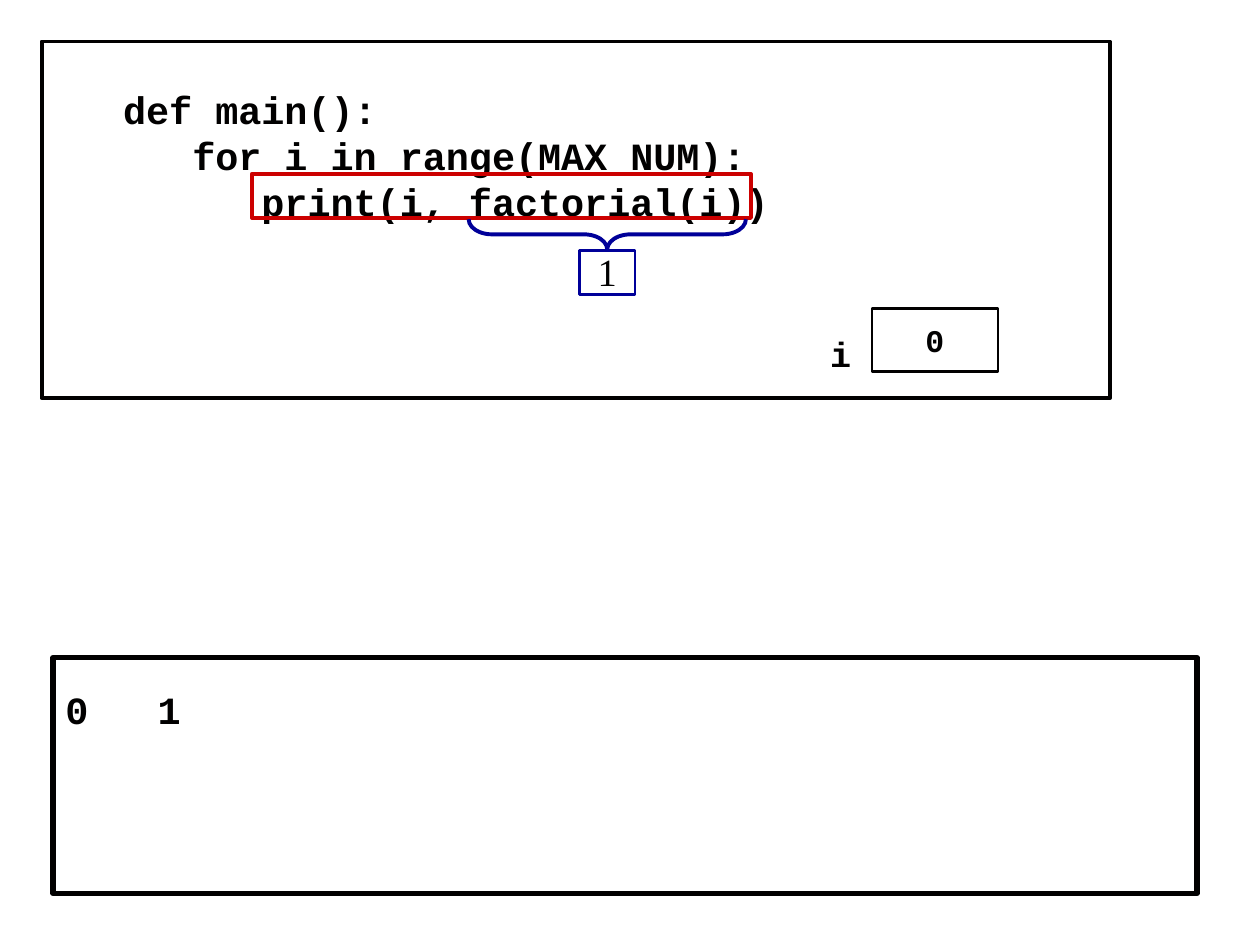
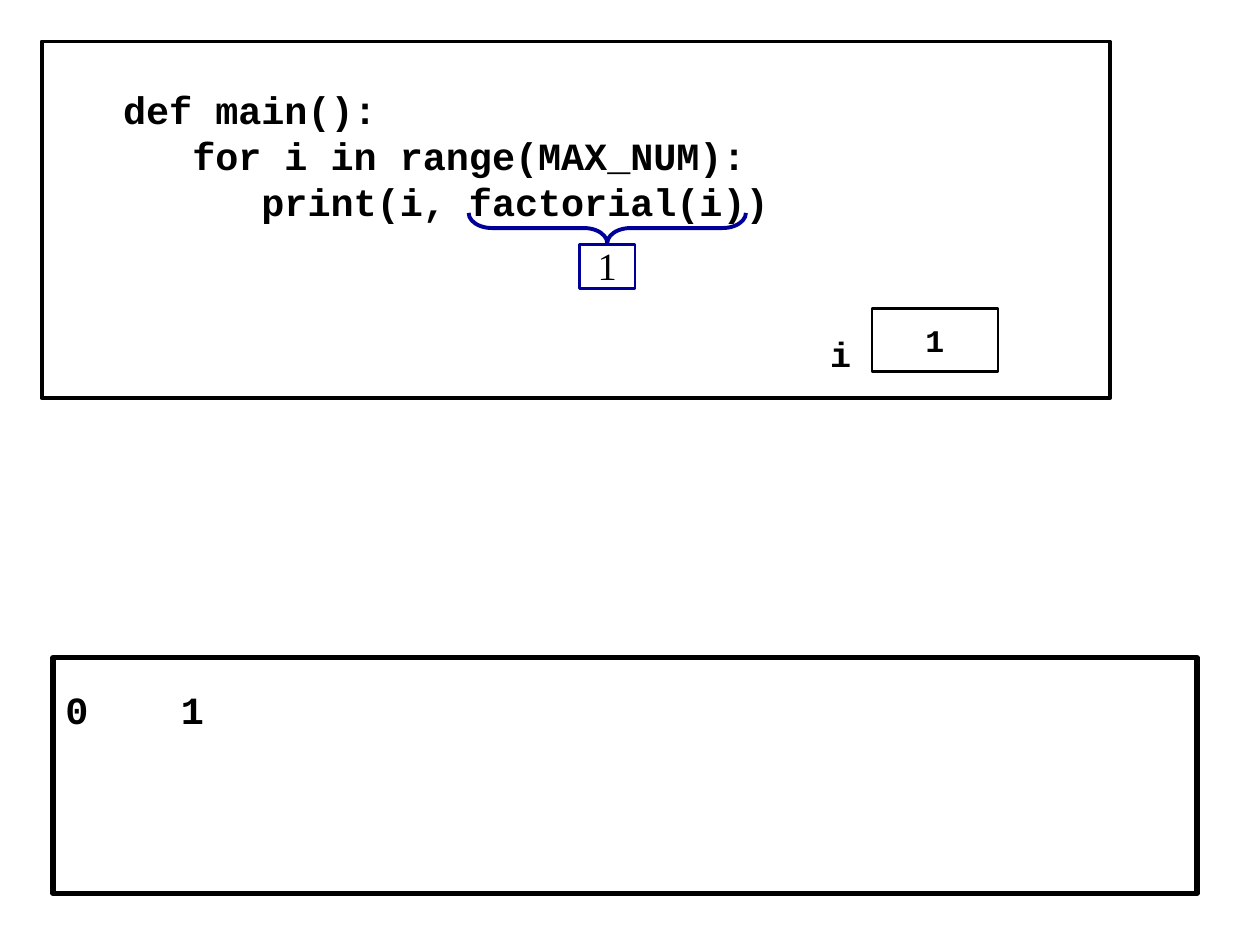
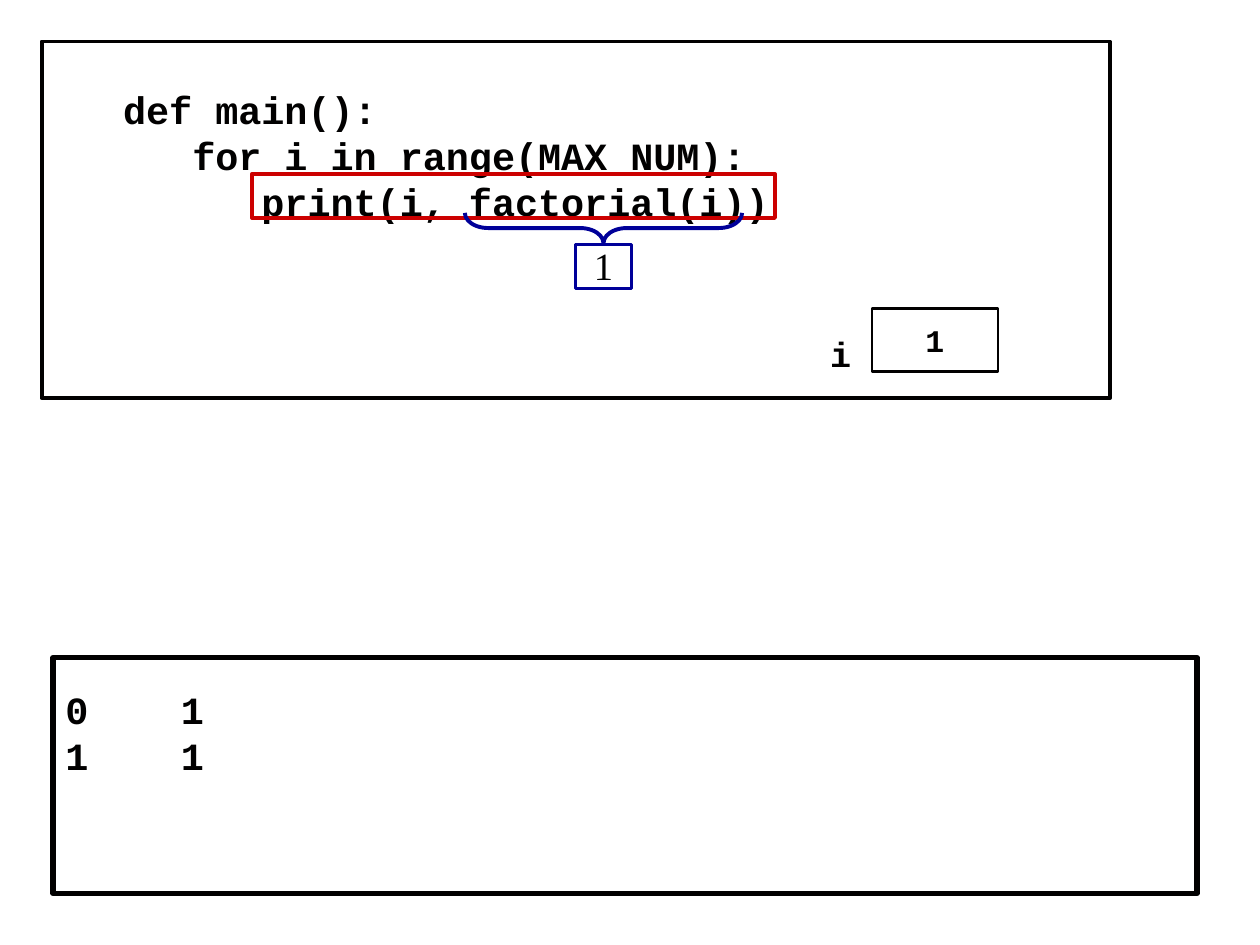
from dataclasses import dataclass
from typing import Optional

from lxml.etree import SubElement
from pptx import Presentation
from pptx.dml.color import RGBColor
from pptx.enum.shapes import MSO_SHAPE as Form
from pptx.enum.text import MSO_ANCHOR as Anchor, PP_ALIGN as Align
from pptx.oxml.ns import qn
from pptx.util import Pt

BLACK = RGBColor(0x01, 0x00, 0x00)
WHITE = RGBColor(0xFF, 0xFF, 0xFF)
RED = RGBColor(0xCC, 0x00, 0x00)
BLUE = RGBColor(0x00, 0x00, 0x99)

MONO = {"name": "Courier New", "bold": True}
SERIF = {"name": "Times New Roman", "bold": False}
PITCH = 26.3  # height of a line of code or output
CODE = (
    "   def main():",
    "      for i in range(MAX_NUM):",
    "         print(i, factorial(i))",
)


@dataclass(frozen=True)
class Box:
    left: float
    top: float
    width: float
    height: float
    line: Optional[RGBColor] = None
    weight: float = 0
    fill: Optional[RGBColor] = None


@dataclass(frozen=True)
class Type:
    size: float
    font: dict
    align: Align = Align.LEFT
    anchor: Anchor = Anchor.TOP
    inset: float = 3.6
    pitch: Optional[float] = None
    tab: Optional[float] = None


@dataclass(frozen=True)
class Step:
    """One moment of the run: the value of i, the call and the output."""
    value: str
    rows: tuple
    tab: float
    mid: float
    brace: float
    focus: Optional[float] = None


FRAME = Box(23.76, 23.76, 610.56, 203.76, BLACK, 2.25, WHITE)
CELL = Box(498.24, 176.4, 72, 36, BLACK, 1.5, WHITE)
LABEL = Box(467.28, 182.16, 36, 30.96)
SCREEN = Box(30.24, 375.84, 653.76, 134.64, BLACK, 3)

LISTING = Type(22, MONO, inset=25.7, pitch=PITCH)
VALUE = Type(18, MONO, Align.CENTER, Anchor.MIDDLE)
NAME = Type(20, MONO, inset=8)
RESULT = Type(22, SERIF, Align.CENTER, Anchor.MIDDLE, inset=1.44)

STEPS = (
    Step("0", ("0\t1",), 52.8, 347.04, 125.28, 285.12),
    Step("1", ("0\t1",), 66, 347.04, 121.68),
    Step("1", ("0\t1", "1\t1"), 66, 344.88, 121.68, 298.8),
)


def style(shape, box: Box) -> None:
    shape.shadow.inherit = False
    if box.fill is None:
        shape.fill.background()
    else:
        shape.fill.solid()
        shape.fill.fore_color.rgb = box.fill
    if box.line is None:
        shape.line.fill.background()
    else:
        shape.line.color.rgb = box.line
        shape.line.width = Pt(box.weight)


def draw(slide, box: Box, form: Form = Form.RECTANGLE):
    place = (box.left, box.top, box.width, box.height)
    shape = slide.shapes.add_shape(form, *map(Pt, place))
    style(shape, box)
    return shape


def write(shape, rows: tuple, kind: Type) -> None:
    frame = shape.text_frame
    for key, value in {
        "word_wrap": True,
        "vertical_anchor": kind.anchor,
        "margin_top": Pt(kind.inset),
    }.items():
        setattr(frame, key, value)
    look = {"size": Pt(kind.size), **kind.font}
    for index, row in enumerate(rows):
        para = frame.add_paragraph() if index else frame.paragraphs[0]
        para.alignment = kind.align
        if kind.pitch:
            para.line_spacing = Pt(kind.pitch)
        if kind.tab:
            stops = SubElement(para._p.get_or_add_pPr(), qn("a:tabLst"))
            SubElement(stops, qn("a:tab"), pos=str(Pt(kind.tab)), algn="l")
        run = para.add_run()
        run.text = row
        for key, value in look.items():
            setattr(run.font, key, value)
        run.font.color.rgb = BLACK


def mark(slide, step: Step) -> None:
    """Brace the call from below and box the value it returns."""
    thick, span = 17.28, 158.4
    top = step.brace + thick / 2 - span / 2
    brace = draw(slide, Box(step.mid - thick / 2, top, thick, span, BLUE, 2.25),
                 Form.LEFT_BRACE)
    brace.rotation = 270
    brace.adjustments[0] = 0.77
    wide = 31.68
    result = draw(slide, Box(step.mid - wide / 2, step.brace + 18, wide, 25.2,
                             BLUE, 1.5))
    write(result, ("1",), RESULT)


def build(slide, step: Step) -> None:
    write(draw(slide, FRAME), CODE, LISTING)
    write(draw(slide, CELL), (step.value,), VALUE)
    place = (LABEL.left, LABEL.top, LABEL.width, LABEL.height)
    write(slide.shapes.add_textbox(*map(Pt, place)), ("i",), NAME)
    if step.focus:
        draw(slide, Box(144, 99.36, step.focus, 25.2, RED, 2.25))
    mark(slide, step)
    output = Type(22, MONO, inset=16.4, pitch=PITCH, tab=step.tab)
    write(draw(slide, SCREEN), step.rows, output)


def main() -> None:
    deck = Presentation()
    deck.slide_width, deck.slide_height = Pt(720), Pt(540)
    for step in STEPS:
        build(deck.slides.add_slide(deck.slide_layouts[6]), step)
    deck.save("out.pptx")


if __name__ == "__main__":
    main()
